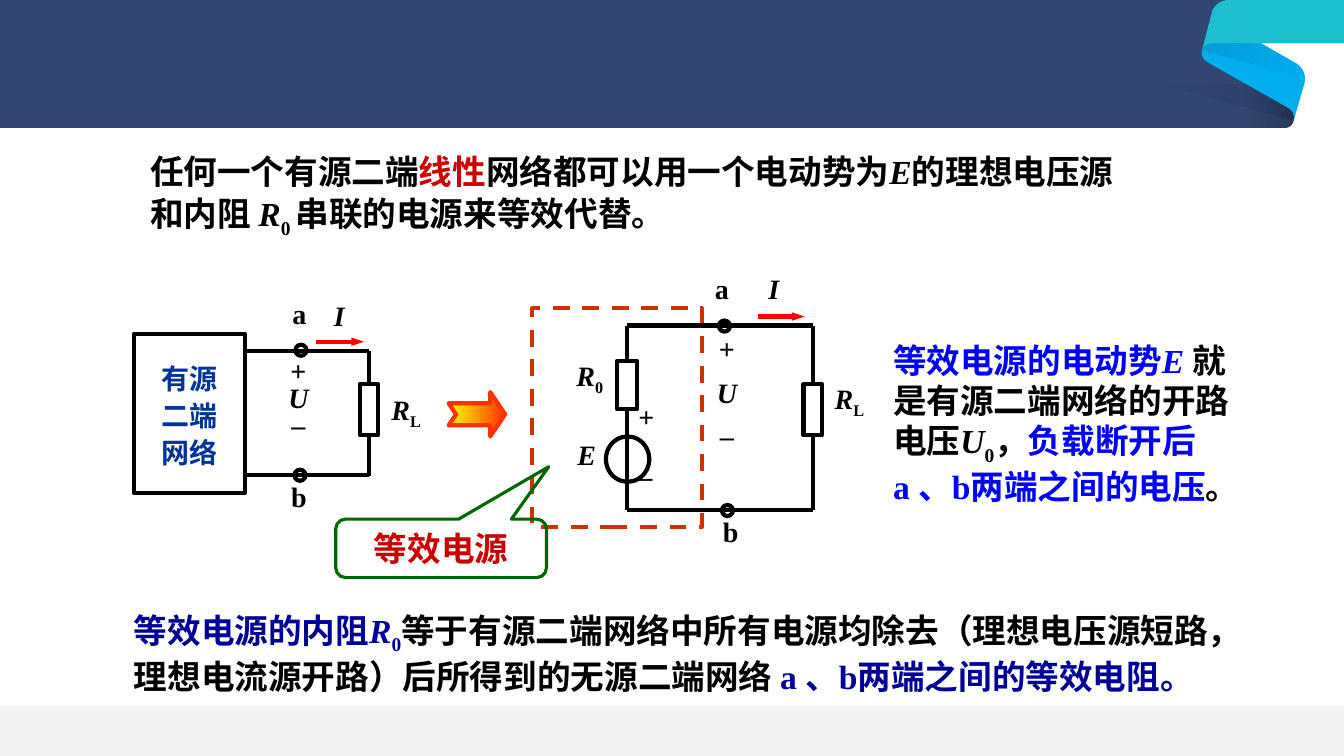
import pptx
import pptx.dml.color
import pptx.enum.dml
import pptx.enum.shapes
import pptx.enum.text
import pptx.oxml
import pptx.oxml.ns
import pptx.util

Inches = pptx.util.Inches
Pt = pptx.util.Pt
PRESET = pptx.enum.shapes.MSO_SHAPE
ANCHOR = pptx.enum.text.MSO_ANCHOR
FIT = pptx.enum.text.MSO_AUTO_SIZE
CENTER = pptx.enum.text.PP_ALIGN.CENTER
NS = pptx.oxml.ns.nsdecls("a")

COLORS = {
    "black": "000000", "navy": "314672", "azure": "00ADEF", "teal": "1DBED0",
    "footer": "F2F2F2", "rust": "CC3300", "crimson": "CC0000", "red": "FF0000",
    "yellow": "FFFF00", "flame": "FF3300", "ink": "003399", "indigo": "000099",
    "blue": "0000FF", "green": "006600",
}


def apply(target, values):
    for key, value in values.items():
        setattr(target, key, value)


def rgb(name):
    return pptx.dml.color.RGBColor.from_string(COLORS[name])


def trace(outline):
    points = [outline[0]]
    for step in outline[1:]:
        if len(step) == 2:
            points.append(step)
            continue
        nodes = [points[-1], step[:2], step[2:4], step[4:]]
        for t in (k / 8 for k in range(1, 9)):
            weights = ((1 - t) ** 3, 3 * t * (1 - t) ** 2, 3 * t * t * (1 - t), t ** 3)
            points.append(tuple(sum(w * node[axis] for w, node in zip(weights, nodes))
                                for axis in (0, 1)))
    return [(Inches(x), Inches(y)) for x, y in points]


class Slide:
    font = {"name": "Times New Roman", "bold": True}

    def __init__(self, presentation):
        self.slide = presentation.slides.add_slide(presentation.slide_layouts[6])
        self.layer = self.slide.shapes

    def group(self):
        self.layer = self.slide.shapes.add_group_shape().shapes

    def ungroup(self):
        self.layer = self.slide.shapes

    def paint(self, shape, fill=None, line=None, width=3, alphas=(), angle=0):
        shape.shadow.inherit = False
        if isinstance(fill, tuple):
            shape.fill.gradient()
            shape.fill.gradient_angle = angle
            for stop, color in zip(shape.fill.gradient_stops, fill):
                stop.color.rgb = rgb(color)
            colors = shape._element.spPr.iter(pptx.oxml.ns.qn("a:srgbClr"))
            for color, alpha in zip(colors, alphas):
                color.append(pptx.oxml.parse_xml(f'<a:alpha {NS} val="{alpha * 1000}"/>'))
        elif fill:
            shape.fill.solid()
            shape.fill.fore_color.rgb = rgb(fill)
        else:
            shape.fill.background()
        if line:
            shape.line.color.rgb = rgb(line)
            shape.line.width = Pt(width)
        else:
            shape.line.fill.background()
        return shape

    def freeform(self, outline, **style):
        points = trace(outline)
        builder = self.layer.build_freeform(*points[0], scale=1.0)
        builder.add_line_segments(points[1:], close=True)
        return self.paint(builder.convert_to_shape(), **style)

    def shape(self, preset, at, adjust=(), **style):
        shape = self.layer.add_shape(preset, *map(Inches, at))
        for index, value in enumerate(adjust):
            shape.adjustments[index] = value
        return self.paint(shape, **style)

    def line(self, start, end, color="black", arrow=False, begin=None, finish=None):
        line = self.layer.add_connector(pptx.enum.shapes.MSO_CONNECTOR.STRAIGHT,
                                        *map(Inches, start + end))
        line.line.color.rgb = rgb(color)
        line.line.width = Pt(3)
        if arrow:
            line._element.spPr.find(pptx.oxml.ns.qn("a:ln")).append(pptx.oxml.parse_xml(
                f'<a:tailEnd {NS} type="triangle" w="sm" len="med"/>'))
        line._element.spPr.append(pptx.oxml.parse_xml(f"<a:effectLst {NS}/>"))
        if begin:
            line.begin_connect(*begin)
        if finish:
            line.end_connect(*finish)

    def typeset(self, frame, paragraphs, size, frame_format, paragraph_format):
        apply(frame, frame_format)
        for index, runs in enumerate(paragraphs):
            paragraph = frame.add_paragraph() if index else frame.paragraphs[0]
            apply(paragraph, paragraph_format)
            for content, color, kind in runs:
                run = paragraph.add_run()
                run.text = content
                apply(run.font, {**self.font, "size": Pt(size), "italic": kind == "italic"})
                run.font.color.rgb = rgb(color)
                run._r.get_or_add_rPr().set("lang", "zh-CN")
                if kind == "sub":
                    run._r.get_or_add_rPr().set("baseline", "-25000")

    def text(self, at, paragraphs, size=24, anchor=ANCHOR.TOP, **paragraph_format):
        box = self.layer.add_textbox(*map(Inches, at))
        self.typeset(box.text_frame, paragraphs, size,
                     {"word_wrap": True, "auto_size": FIT.SHAPE_TO_FIT_TEXT,
                      "vertical_anchor": anchor}, paragraph_format)

    def label(self, x, y, width, symbol, kind="plain", sub=""):
        runs = [(symbol, "black", kind)] + ([(sub, "black", "sub")] if sub else [])
        self.text((x, y, width, 0.44), [runs], 20, alignment=CENTER)

    def caption(self, shape, lines, color, size, spacing=1.0):
        self.typeset(shape.text_frame, [[(line, color, "plain")] for line in lines], size,
                     {"word_wrap": False, "vertical_anchor": ANCHOR.MIDDLE},
                     {"alignment": CENTER, "line_spacing": spacing})

    def resistor(self, x, y, width, height, top, bottom):
        body = self.shape(PRESET.RECTANGLE, (x - width / 2, y, width, height), line="black")
        self.line((x, top), (x, y), finish=(body, 0))
        self.line((x, y + height), (x, bottom), begin=(body, 2))

    def terminals(self, a, b, nodes, current, arrow, voltage, spacing):
        self.label(*a, 0.34, "a")
        self.label(*b, 0.35, "b")
        self.label(*current, 0.31, "I", "italic")
        for node in nodes:
            self.shape(PRESET.OVAL, node + (0.11, 0.11), line="black")
        self.line(*arrow, color="red", arrow=True)
        self.text(voltage, [[("+", "black", "plain")], [("U", "black", "italic")],
                            [("–", "black", "plain")]], 20,
                  alignment=CENTER, line_spacing=spacing)


def draw_ribbon(page):
    page.freeform([(0, 0), (12.43, 0), (12.43, 0.72), (12.79, 1.08),
                   (12.83, 1.11, 12.84, 1.15, 12.83, 1.2),
                   (12.82, 1.24, 12.79, 1.27, 12.74, 1.27), (0, 1.27)], fill="navy")
    page.freeform([(11.97, 0.61), (12, 0.63), (12.79, 1.08),
                   (12.83, 1.11, 12.84, 1.15, 12.83, 1.2), (12.94, 0.82),
                   (12.96, 0.74, 12.91, 0.66, 12.86, 0.63), (12.44, 0.39), (12.02, 0.41),
                   (11.97, 0.41, 11.93, 0.46, 11.92, 0.5),
                   (11.91, 0.54, 11.93, 0.59, 11.97, 0.61)], fill="azure")
    page.freeform([(11.92, 0.5), (11.93, 0.46, 11.97, 0.43, 12.02, 0.43), (13.33, 0.43),
                   (13.33, 0), (12.19, 0), (12.11, 0, 12.04, 0.05, 12.02, 0.12),
                   (11.94, 0.43)], fill="teal")
    shade = ("black", "black")
    page.freeform([(12.37, 0.84), (12.37, 1.27), (12.74, 1.27),
                   (12.79, 1.27, 12.82, 1.24, 12.83, 1.2),
                   (12.84, 1.15, 12.83, 1.11, 12.79, 1.08)],
                  fill=shade, alphas=(20, 0), angle=180)
    page.freeform([(11.52, 0.84), (12.83, 1.2), (12.84, 1.15, 12.83, 1.11, 12.79, 1.08),
                   (12.37, 0.84)], fill=shade, alphas=(10, 0), angle=180)
    page.freeform([(11.92, 0.5), (12.94, 0.77), (12.94, 0.72, 12.91, 0.66, 12.86, 0.63),
                   (12.5, 0.43), (12.02, 0.43), (11.97, 0.43, 11.93, 0.46, 11.92, 0.5)],
                  fill=shade, alphas=(10, 0))
    page.shape(PRESET.RECTANGLE, (0, 7, 13.33, 0.5), fill="footer")


def draw_network(page):
    page.group()
    network = page.shape(PRESET.RECTANGLE, (1.33, 3.31, 1.1, 1.58), line="black")
    page.caption(network, ["有源", "二端", "网络"], "ink", 20, 1.1)
    for y in (3.48, 4.71):
        page.line((2.45, y), (3.66, y))
    page.resistor(3.66, 3.81, 0.18, 0.51, 3.48, 4.72)
    page.label(3.78, 3.84, 0.5, "R", "italic", "L")
    page.terminals((2.8, 2.89), (2.79, 4.71), [(2.93, 3.42), (2.92, 4.66)], (3.21, 2.91),
                   ((3.13, 3.39), (3.61, 3.39)), (2.76, 3.52, 0.4, 0.91), 0.8)
    page.ungroup()


def draw_equivalent(page):
    page.group()
    page.shape(PRESET.OVAL, (6.01, 4.33, 0.43, 0.45), line="black")
    for y in (3.23, 5.06):
        page.line((6.22, y), (8.06, y))
    page.resistor(6.22, 3.58, 0.2, 0.48, 3.23, 5.06)
    page.resistor(8.06, 3.81, 0.18, 0.51, 3.23, 5.06)
    page.label(5.49, 4.29, 0.66, "E", "italic")
    page.label(5.49, 3.51, 0.72, "R", "italic", "0")
    page.label(6.23, 3.91, 0.36, "+")
    page.label(6.23, 4.41, 0.34, "_")
    page.label(8.17, 3.74, 0.51, "R", "italic", "L")
    page.terminals((6.99, 2.64), (7.07, 5.06), [(7.13, 3.18), (7.16, 5.01)], (7.52, 2.64),
                   ((7.52, 3.14), (7.98, 3.14)), (7.01, 3.14, 0.4, 1.41), 1.3)
    page.ungroup()


def main():
    presentation = pptx.Presentation()
    apply(presentation, {"slide_width": Inches(13.33), "slide_height": Inches(7.5)})
    page = Slide(presentation)
    draw_ribbon(page)
    source_frame = page.shape(PRESET.RECTANGLE, (5.28, 3.06, 1.68, 2.17), line="rust")
    source_frame.line.dash_style = pptx.enum.dml.MSO_LINE.DASH
    page.text((1.39, 1.45, 9.87, 0.95), [[
        ("任何一个有源二端", "black", "plain"), ("线性", "crimson", "plain"),
        ("网络都可以用一个电动势为", "black", "plain"), ("E", "black", "italic"),
        ("的理想电压源和内阻 ", "black", "plain"), ("R", "black", "italic"),
        ("0 ", "black", "sub"), ("串联的电源来等效代替。", "black", "plain")]],
        anchor=ANCHOR.MIDDLE, line_spacing=1.05)
    page.shape(PRESET.NOTCHED_RIGHT_ARROW, (4.45, 3.89, 0.56, 0.44), (0.5, 0.334),
               fill=("yellow", "flame"), line="flame")
    draw_network(page)
    draw_equivalent(page)
    page.text((1.23, 6, 11.44, 0.91), [[
        ("等效电源的内阻", "indigo", "plain"), ("R", "indigo", "italic"), ("0", "indigo", "sub"),
        ("等于有源二端网络中所有电源均除去（理想电压源短路，理想电流源开路）"
         "后所得到的无源二端网络 ", "black", "plain"),
        ("a 、b两端之间的等效电阻。", "indigo", "plain")]])
    page.text((8.76, 3.32, 3.62, 1.72), [[
        ("等效电源的电动势", "blue", "plain"), ("E ", "blue", "italic"),
        ("就是有源二端网络的开路电压", "black", "plain"), ("U", "black", "italic"),
        ("0", "black", "sub"), ("，", "black", "plain"),
        ("负载断开后 a 、b两端之间的电压", "blue", "plain"), ("。", "black", "plain")]])
    callout = page.shape(PRESET.ROUNDED_RECTANGULAR_CALLOUT, (3.33, 5.15, 2.09, 0.58),
                         (0.511, -1.398, 0.167), line="green", width=2.25)
    page.caption(callout, ["等效电源"], "crimson", 24)
    presentation.save("out.pptx")


if __name__ == "__main__":
    main()
